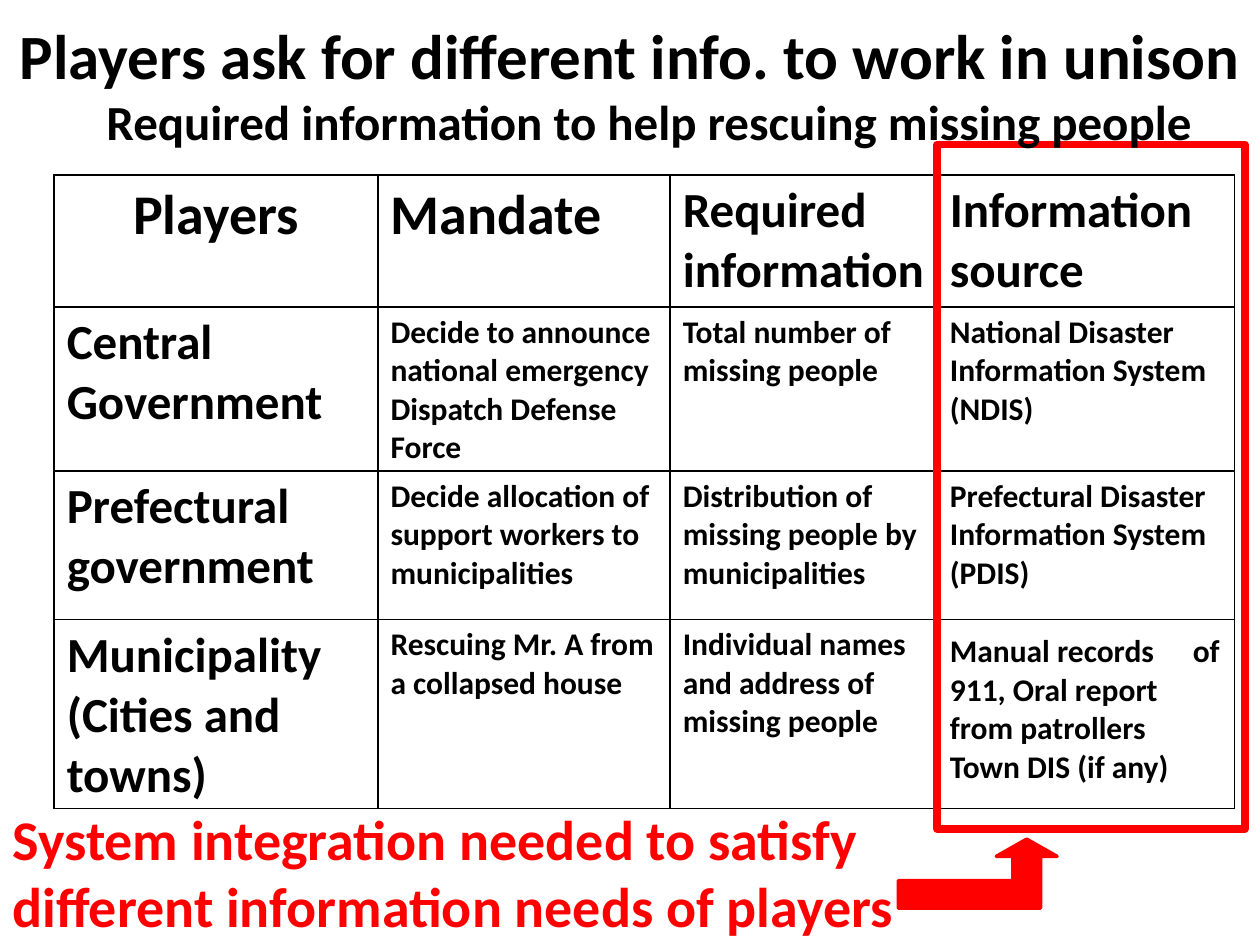
from lxml import etree
from pptx import Presentation
from pptx.dml.color import RGBColor
from pptx.enum.shapes import MSO_SHAPE
from pptx.enum.text import MSO_ANCHOR, PP_ALIGN
from pptx.oxml.ns import qn
from pptx.util import Inches, Pt

RECTANGLE, BENT_ARROW = MSO_SHAPE.RECTANGLE, MSO_SHAPE.BENT_UP_ARROW
TOP, MIDDLE = MSO_ANCHOR.TOP, MSO_ANCHOR.MIDDLE
LEFT, CENTER = PP_ALIGN.LEFT, PP_ALIGN.CENTER

BLACK = RGBColor(0x00, 0x00, 0x00)
RED = RGBColor(0xFF, 0x00, 0x00)
FONT = "Calibri"
WIDTH, HEIGHT = 10, 7.5

HEADERS = ["Players", "Mandate", "Required information", "Information source"]
HEADER_SIZES = [32, 32, 28, 28]
PLAYER_SIZE, DETAIL_SIZE = 28, 18
COLUMNS = [2.57, 2.32, 2.12, 2.36]
ROWS = [1.05, 1.3, 1.18, 1.5]
PLAYERS = [
    ["Central Government",
     "Decide to announce national emergency\nDispatch Defense Force",
     "Total number of missing people",
     "National Disaster Information System (NDIS)"],
    ["Prefectural government",
     "Decide allocation of support workers to municipalities",
     "Distribution of missing people by municipalities",
     "Prefectural Disaster Information System\n(PDIS)"],
    ["Municipality (Cities and towns)",
     "Rescuing Mr. A from a collapsed house",
     "Individual names and address of missing people",
     "Manual records 　of 911, Oral report from patrollers\nTown DIS (if any)"],
]


def share(left, top, width, height):
    """Turn shares of the slide's size into a box of lengths."""
    return (Inches(left * WIDTH), Inches(top * HEIGHT),
            Inches(width * WIDTH), Inches(height * HEIGHT))


def write(frame, text, size, color=BLACK, align=LEFT):
    """Fill a text frame with bold text, one paragraph a line."""
    for index, line in enumerate(text.split("\n")):
        para = frame.add_paragraph() if index else frame.paragraphs[0]
        para.alignment = align
        span = para.add_run()
        span.text = line
        span.font.name = FONT
        span.font.size = Pt(size)
        span.font.bold = True
        span.font.color.rgb = color


def add_text(page, box, text, anchor=TOP, **style):
    frame = page.shapes.add_textbox(*box).text_frame
    frame.word_wrap = True
    frame.vertical_anchor = anchor
    write(frame, text, **style)


def add_red_shape(page, box, kind, line_width, filled):
    shape = page.shapes.add_shape(kind, *box)
    shape.shadow.inherit = False
    if filled:
        shape.fill.solid()
        shape.fill.fore_color.rgb = RED
    else:
        shape.fill.background()
    shape.line.color.rgb = RED
    shape.line.width = Pt(line_width)
    return shape


def draw_borders(cell):
    properties = cell._tc.get_or_add_tcPr()
    for index, side in enumerate(("a:lnL", "a:lnR", "a:lnT", "a:lnB")):
        line = etree.Element(qn(side), w=str(Pt(1)))
        fill = etree.SubElement(line, qn("a:solidFill"))
        etree.SubElement(fill, qn("a:srgbClr"), val=str(BLACK))
        properties.insert(index, line)


def add_player_table(page, box):
    left, top, width, height = box
    table = page.shapes.add_table(len(ROWS), len(COLUMNS), *box).table
    table.first_row = table.horz_banding = False
    for column, part in zip(table.columns, COLUMNS):
        column.width = int(width * part / sum(COLUMNS))
    for row, part in zip(table.rows, ROWS):
        row.height = int(height * part / sum(ROWS))
    for row, texts in enumerate([HEADERS] + PLAYERS):
        for column, text in enumerate(texts):
            cell = table.cell(row, column)
            cell.fill.background()
            draw_borders(cell)
            if row == 0:
                size = HEADER_SIZES[column]
            else:
                size = DETAIL_SIZE if column else PLAYER_SIZE
            align = CENTER if row == column == 0 else LEFT
            write(cell.text_frame, text, size=size, align=align)


def add_conclusion(page, text_box, arrow_box):
    add_text(page, text_box,
             "System integration needed to satisfy different information needs of players",
             size=32, color=RED)
    arrow = add_red_shape(page, arrow_box, BENT_ARROW, 2, filled=True)
    for index, value in enumerate((0.4, 0.44, 0.25)):
        arrow.adjustments[index] = value


def main():
    deck = Presentation()
    deck.slide_width, deck.slide_height = Inches(WIDTH), Inches(HEIGHT)
    page = deck.slides.add_slide(deck.slide_layouts[6])
    add_text(page, share(0, 0, 1, 0.116),
             "Players ask for different info. to work in unison",
             anchor=MIDDLE, size=36, align=CENTER)
    add_player_table(page, share(0.043, 0.185, 0.937, 0.67))
    add_red_shape(page, share(0.744, 0.153, 0.244, 0.724), RECTANGLE, 4.5, filled=False)
    add_conclusion(page, share(0, 0.845, 0.728, 0.157), share(0.713, 0.888, 0.126, 0.073))
    add_text(page, share(0.015, 0.07, 1, 0.116),
             "Required information to help rescuing missing people",
             anchor=MIDDLE, size=28, align=CENTER)
    deck.save("out.pptx")


if __name__ == "__main__":
    main()
